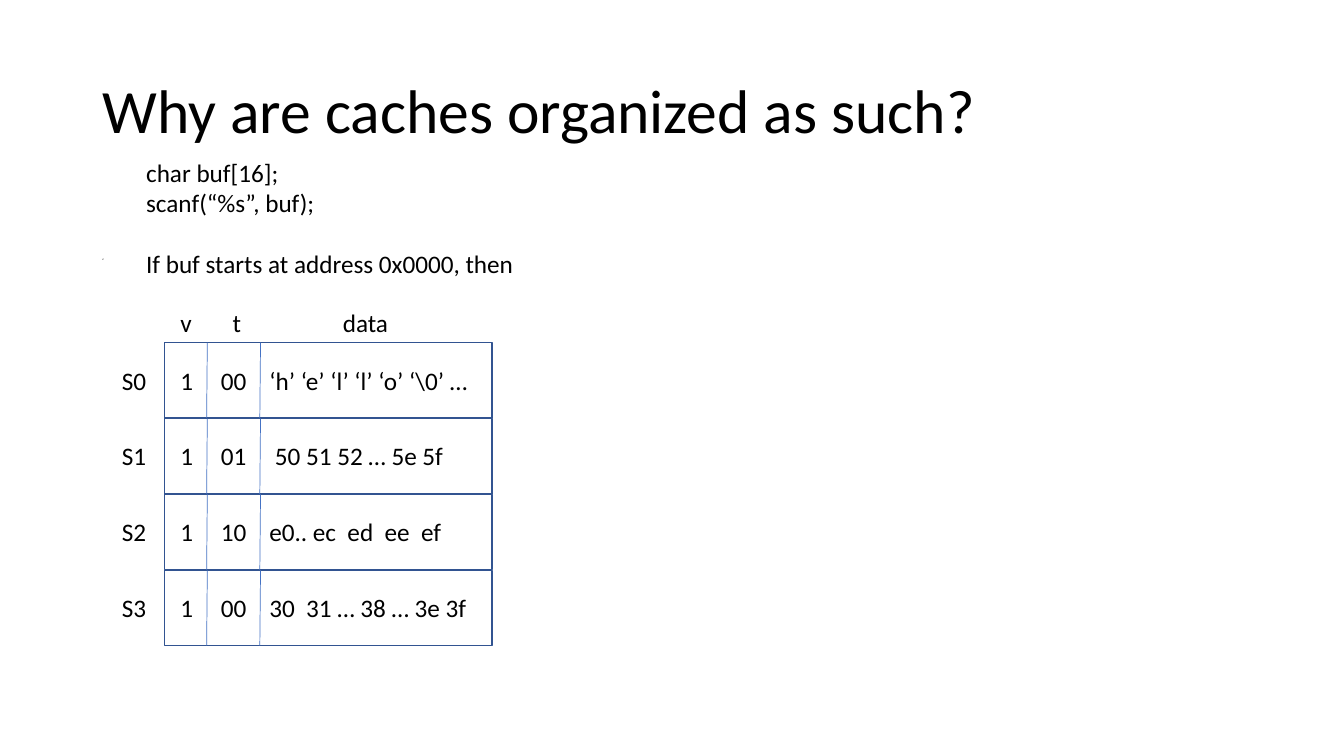
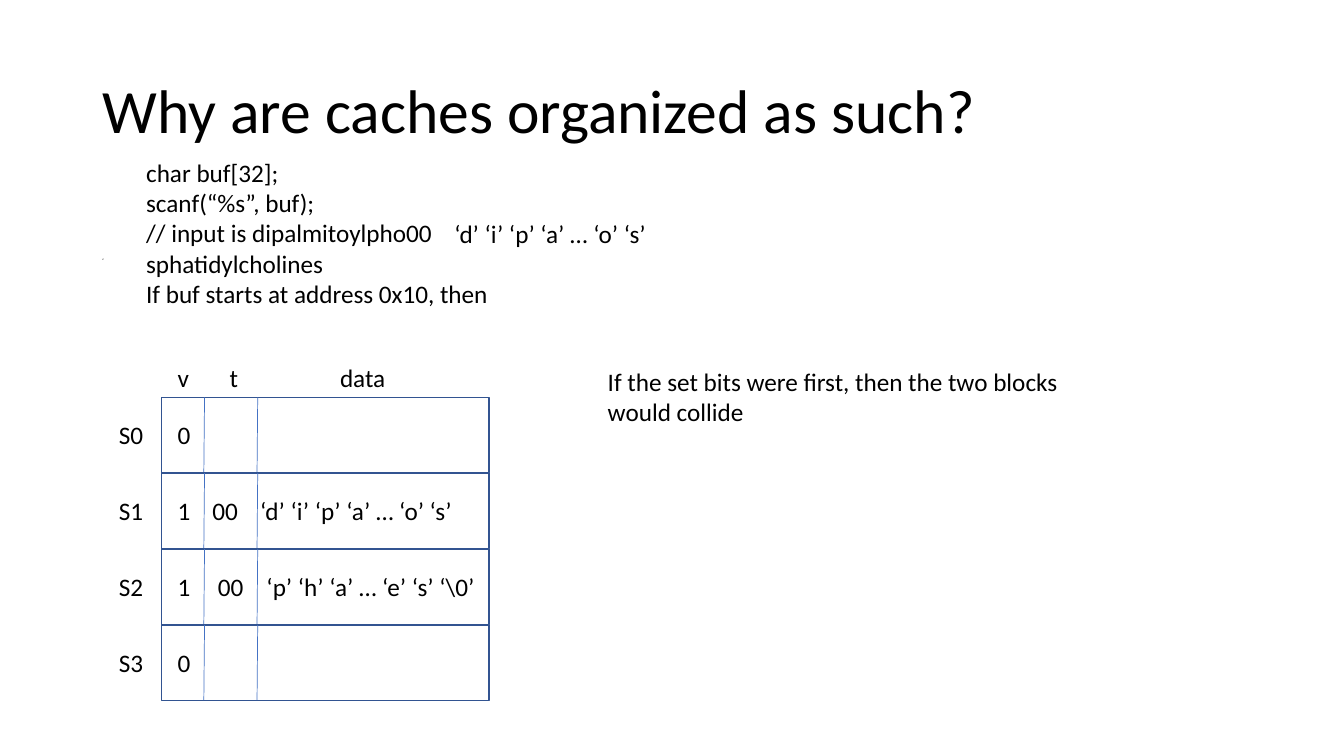
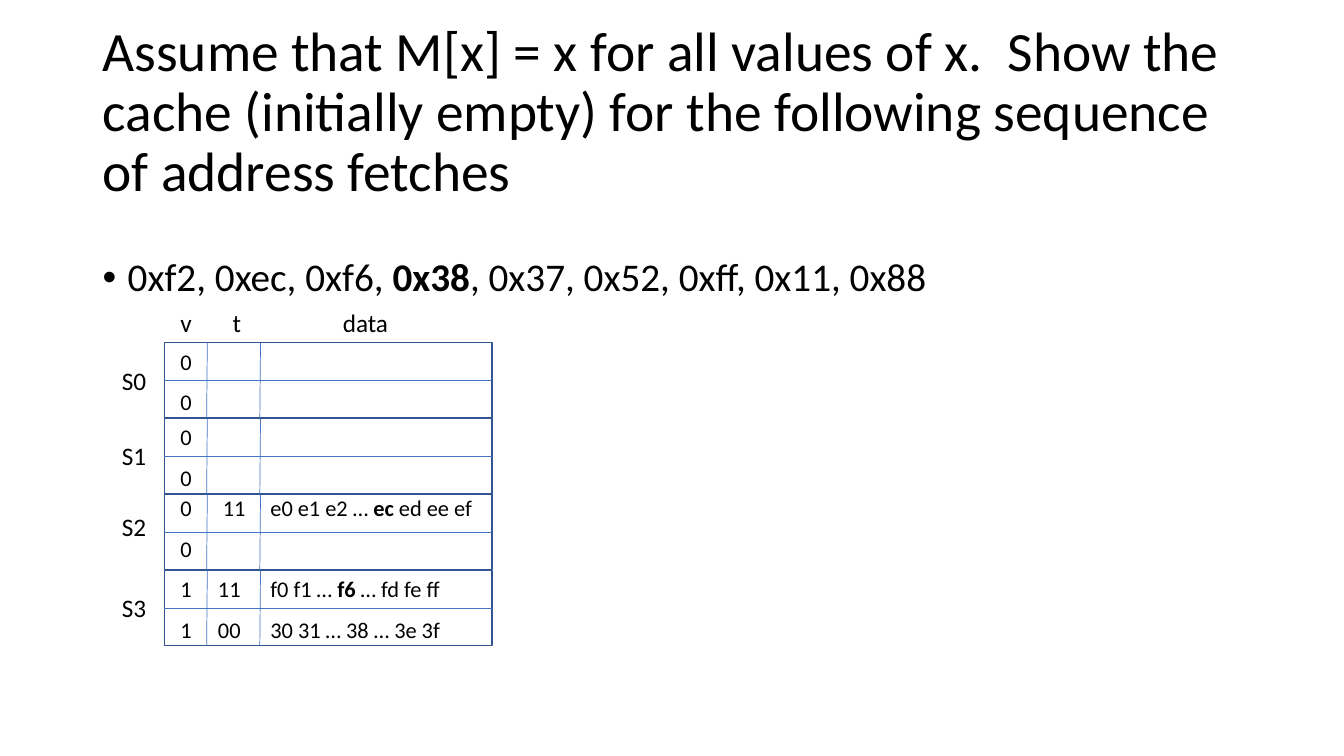
from dataclasses import dataclass

from lxml import etree
from pptx import Presentation
from pptx.dml.color import RGBColor
from pptx.enum import shapes, text
from pptx.oxml import ns
from pptx.util import Pt

BLACK = RGBColor(0x00, 0x00, 0x00)
NAVY = RGBColor(0x32, 0x54, 0x91)
BLUE = RGBColor(0x44, 0x72, 0xC4)
FONT = "Calibri"

MARGIN = 66.2
BODY_W = 828
BODY_TOP = 180.7
CODE_LEFT = 97.3
CODE_TOP = 108.7
LINE_H = 22

SET_W, SET_H, SET_PITCH = 234, 53.8, 54.2
DIVIDERS = (30.7, 68.7)  # between v, t and data
TILT = 0.5
WAY_PITCH = 28.8
HEADER_H = 28.8
LABEL_DX, LABEL_DY = -37.5, 12.3
CELLS = ((4.3, 26), (33.2, 40), (67.9, 180))  # offset and width of v, t, data


@dataclass
class Line:
    """One cache line; the shifts move its tag and data sideways."""
    v: str
    t: str = ""
    data: str = ""
    t_shift: float = 0
    data_shift: float = 0


HEADER = Line("v", "t", "data", 8.4, 52.5)


def write(p, markup, size):
    """Fill a paragraph; words between asterisks are bold."""
    for i, part in enumerate(markup.split("*")):
        if part:
            r = p.add_run()
            r.text = part
            r.font.name, r.font.size = FONT, Pt(size)
            r.font.bold = i % 2 == 1
            r.font.color.rgb = BLACK


def add_text(s, left, top, width, height, lines, size=18):
    tf = s.shapes.add_textbox(Pt(left), Pt(top), Pt(width), Pt(height)).text_frame
    tf.word_wrap = True
    for i, line in enumerate(lines):
        write(tf.add_paragraph() if i else tf.paragraphs[0], line, size)
    return tf


def add_title(s, title, size=44):
    tf = add_text(s, MARGIN, 28.8, BODY_W, 104.4, [title], size)
    tf.vertical_anchor = text.MSO_ANCHOR.MIDDLE
    tf.paragraphs[0].line_spacing = 0.9


def add_body(s, markup, size):
    p = add_text(s, MARGIN, BODY_TOP, BODY_W, 342.7, [markup], size).paragraphs[0]
    p.line_spacing, p.space_before = 0.9, Pt(10)
    return p


def add_bullet(p):
    pPr = p._p.get_or_add_pPr()
    pPr.set("marL", str(Pt(18)))
    pPr.set("indent", str(Pt(-18)))
    etree.SubElement(pPr, ns.qn("a:buFont")).set("typeface", "Arial")
    etree.SubElement(pPr, ns.qn("a:buChar")).set("char", "•")


def add_code(s, lines):
    return add_text(s, CODE_LEFT, CODE_TOP, 380, LINE_H * len(lines) + 7.2, lines)


def add_rule(s, x1, y1, x2, y2):
    rule = s.shapes.add_connector(shapes.MSO_CONNECTOR.STRAIGHT,
                                  Pt(x1), Pt(y1), Pt(x2), Pt(y2))
    rule.line.color.rgb, rule.line.width = BLUE, Pt(0.5)
    etree.SubElement(rule._element.spPr, ns.qn("a:effectLst"))
    return rule


def add_set_frame(s, left, top, ways):
    sp = s.shapes.add_shape(shapes.MSO_SHAPE.RECTANGLE,
                            Pt(left), Pt(top), Pt(SET_W), Pt(SET_H))
    sp.shadow.inherit = False
    sp.fill.background()
    sp.line.color.rgb, sp.line.width = NAVY, Pt(1)
    for dx in DIVIDERS:
        add_rule(s, left + dx, top, left + dx - TILT, top + SET_H)
    if ways == 2:
        middle = top + SET_H / 2
        rule = add_rule(s, left, middle, left + SET_W, middle)
        rule.begin_connect(sp, 1)
        rule.end_connect(sp, 3)


def add_line(s, left, top, line, size=18):
    """Write the fields of one cache line."""
    fields = ((line.v, 0), (line.t, line.t_shift), (line.data, line.data_shift))
    for (dx, width), (markup, shift) in zip(CELLS, fields):
        if markup:
            add_text(s, left + dx + shift, top, width, size * 1.2 + 7.2, [markup], size)


def add_cache(s, left, top, lines, ways=1, size=18, lifts=(0, 0, 0, 0)):
    """Draw the cache with `ways` lines in each set; lifts raise a set's text."""
    add_line(s, left, top - HEADER_H, HEADER)
    for number, lift in enumerate(lifts):
        set_top = top + number * SET_PITCH
        text_top = set_top - lift
        add_set_frame(s, left, set_top, ways)
        add_text(s, left + LABEL_DX, text_top + LABEL_DY, 36, 29, [f"S{number}"])
        for way in range(ways):
            dy = LABEL_DY if ways == 1 else way * WAY_PITCH
            add_line(s, left, text_top + dy, lines[number * ways + way], size)


def short_buffer_slide(s):
    add_title(s, "Why are caches organized as such?")
    add_body(s, "*c*", 2)
    tf = add_code(s, ["char buf[16];", "scanf(“%s”, buf);",
                      "If buf starts at address 0x0000, then"])
    tf.paragraphs[-1].space_before = Pt(LINE_H)
    add_cache(s, 117.4, 244.8, [
        Line("1", "00", "‘h’ ‘e’ ‘l’ ‘l’ ‘o’ ‘\\0’ …"),
        Line("1", "01", "50 51 52 … 5e 5f", data_shift=4),
        Line("1", "10", "e0.. ec  ed  ee  ef"),
        Line("1", "00", "30  31 … 38 … 3e 3f"),
    ])


def long_buffer_slide(s):
    add_title(s, "Why are caches organized as such?")
    add_body(s, "*c*", 2)
    add_code(s, ["char buf[32];", "scanf(“%s”, buf);", "// input is dipalmitoylpho00",
                 "sphatidylcholines", "If buf starts at address 0x10, then"])
    add_text(s, 317.5, CODE_TOP + 2 * LINE_H, 180, 29, ["‘d’ ‘i’ ‘p’ ‘a’ … ‘o’ ‘s’"])
    add_cache(s, 115.4, 283.8, [
        Line("0"),
        Line("1", "00", "‘d’ ‘i’ ‘p’ ‘a’ … ‘o’ ‘s’", -4, -4.5),
        Line("1", "00", "‘p’ ‘h’ ‘a’ … ‘e’ ‘s’ ‘\\0’"),
        Line("0"),
    ])
    add_text(s, 427, 257.8, 345, 51,
             ["If the set bits were first, then the two blocks", "would collide"])


def fetch_sequence_slide(s):
    add_title(s, "Assume that M[x] = x for all values of x.  Show the cache (initially empty) "
                 "for the following sequence of address fetches", 39.6)
    add_bullet(add_body(s, "0xf2, 0xec, 0xf6, *0x38*, 0x37, 0x52, 0xff, 0x11, 0x88", 28))
    add_cache(s, 117.4, 244.8, [
        *[Line("0")] * 4,
        Line("0", "11", "e0 e1 e2 … *ec *ed ee ef", 1.5, 0.8),
        Line("0"),
        Line("1", "11", "f0 f1 … *f6* … fd fe ff", -2, 0.8),
        Line("1", "00", "30 31 … 38 … 3e 3f", -2, 0.8),
    ], ways=2, size=16, lifts=(0, 0, 3.5, 0))


def main():
    prs = Presentation()
    prs.slide_width, prs.slide_height = Pt(960), Pt(540)
    for build in (short_buffer_slide, long_buffer_slide, fetch_sequence_slide):
        build(prs.slides.add_slide(prs.slide_layouts[6]))
    prs.save("out.pptx")


if __name__ == "__main__":
    main()
